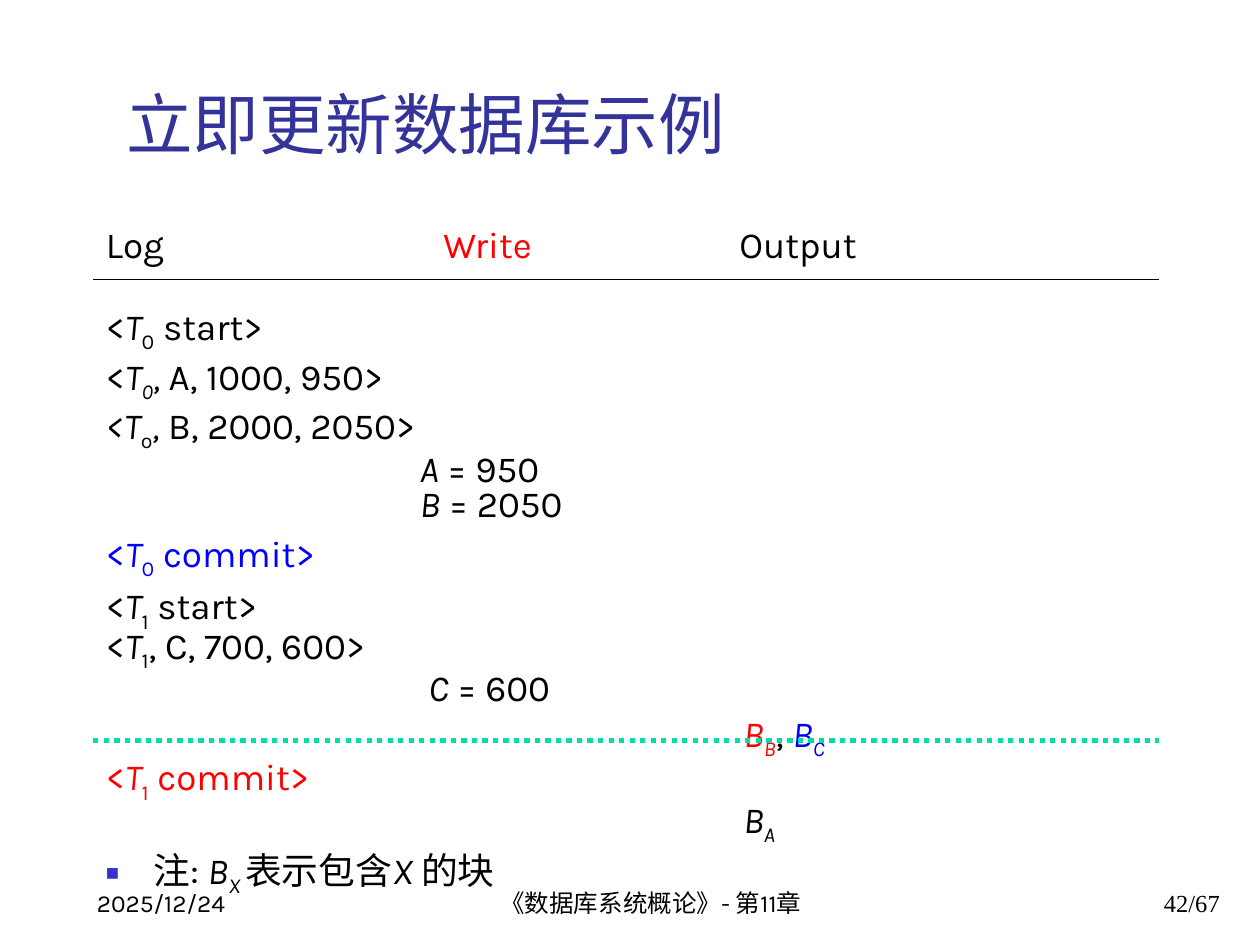
from lxml.etree import SubElement
from pptx import Presentation
from pptx.dml.color import RGBColor
from pptx.enum.dml import MSO_LINE_DASH_STYLE as Dash
from pptx.enum.shapes import MSO_CONNECTOR as Connector
from pptx.enum.text import MSO_ANCHOR as Anchor, MSO_AUTO_SIZE as AutoSize, PP_ALIGN as Align
from pptx.oxml.ns import qn
from pptx.util import Inches, Pt

BLACK = RGBColor(0x00, 0x00, 0x00)
RED = RGBColor(0xFF, 0x00, 0x00)
BLUE = RGBColor(0x00, 0x00, 0xFF)
NAVY = RGBColor(0x33, 0x33, 0x99)
GREEN = RGBColor(0x00, 0xDF, 0xA4)
BULLET = "3333CC"


def add_span(para, text, size, color=BLACK, style="", font="Karla"):
    """Add a run; style may hold i (italic) and s (subscript)."""
    span = para.add_run()
    span.text = text
    formats = {"name": font, "size": Pt(size), "italic": "i" in style}
    for key, value in formats.items():
        setattr(span.font, key, value)
    span.font.color.rgb = color
    if "s" in style:
        span.font._element.set("baseline", "-25000")


def set_frame(box, place, anchor):
    """Place a box and return its first paragraph."""
    box.left, box.top, box.width, box.height = [Inches(n) for n in place]
    formats = {"word_wrap": True, "auto_size": AutoSize.NONE, "vertical_anchor": anchor}
    for key, value in formats.items():
        setattr(box.text_frame, key, value)
    return box.text_frame.paragraphs[0]


deck = Presentation()
deck.slide_width, deck.slide_height = Inches(10), Inches(7.5)
page = deck.slides.add_slide(deck.slide_layouts[1])

# Title
para = set_frame(page.shapes.title, (0.9, 0.67, 8.83, 0.67), Anchor.BOTTOM)
para.alignment = Align.LEFT
add_span(para, "立即更新数据库示例", 38, NAVY)

# Log, write and output entries: line spacing, left margin, spans
LOG, WRITE, OUTPUT = 0, 2.49, 5.06
rows = [
    (1, LOG, [("Log",)]),
    (0.6, LOG, [("<",), ("T", "i"), ("0", "s"), (" start>",)]),
    (1, LOG, [("<",), ("T", "i"), ("0", "is"), (",", "i"), (" A, 1000, 950>",)]),
    (0.7, LOG, [("<T", "i"), ("o", "s"), (",", "i"), (" B, 2000, 2050>",)]),
    (0.8, WRITE, [("A", "i"), (" = 950",)]),
    (0.6, WRITE, [("B", "i"), (" = 2050",)]),
    (1, LOG, [("<", "", BLUE), ("T", "i", BLUE), ("0", "s", BLUE), (" commit>", "", BLUE)]),
    (0.8, LOG, [("<",), ("T", "i"), ("1", "s"), (" start>",)]),
    (0.6, LOG, [("<",), ("T", "i"), ("1", "s"), (", C, 700, 600>",)]),
    (0.8, WRITE + 0.07, [("C", "i"), (" = 600",)]),
    (0.8, OUTPUT, [("B", "i", RED), ("B", "is", RED), (", ",),
                   ("B", "i", BLUE), ("C", "is", BLUE)]),
    (0.7, LOG, [("<", "", RED), ("T", "i", RED), ("1", "s", RED), (" commit>", "", RED)]),
    (0.7, OUTPUT, [("B", "i"), ("A", "is")]),
    (1, 0.38, [("注: ",), ("B", "i"), ("X ", "is"), ("表示包含",), ("X ", "i"), ("的块",)]),
]
body = page.placeholders[1]
para = set_frame(body, (0.74, 1.71, 8.66, 4.87), Anchor.TOP)
for number, (spacing, margin, spans) in enumerate(rows):
    if number:
        para = body.text_frame.add_paragraph()
    props = para._p.get_or_add_pPr()
    props.set("marL", str(Inches(margin)))
    if number == len(rows) - 1:  # closing note is the only bulleted line
        props.set("indent", str(-Inches(margin)))
        color = SubElement(props, qn("a:buClr"))
        SubElement(color, qn("a:srgbClr"), val=BULLET)
        SubElement(props, qn("a:buSzPct"), val="60000")
        SubElement(props, qn("a:buChar"), char="■")
    else:
        props.set("indent", "0")
        SubElement(props, qn("a:buNone"))
    para.line_spacing = spacing
    if number == 0:
        para.space_before = Pt(0)
    elif number == 1:  # gap under the header rule
        para.space_before = Pt(29)
    for text, *look in spans:
        style, color = look + ["", BLACK][len(look):]
        add_span(para, text, 21, color, style)

# Headings of the write and output columns
for left, text, color in [(3.42, "Write", RED), (5.77, "Output", BLACK)]:
    box = page.shapes.add_textbox(0, 0, 0, 0)
    para = set_frame(box, (left, 1.71, 1.5, 0.45), Anchor.TOP)
    add_span(para, text, 21, color)

# Header rule and dotted crash line
for top, color, width, dash in [(2.22, BLACK, 0.75, Dash.SOLID),
                                (5.88, GREEN, 3, Dash.ROUND_DOT)]:
    rule = page.shapes.add_connector(Connector.STRAIGHT, Inches(0.74), Inches(top),
                                     Inches(9.2), Inches(top))
    rule.line.color.rgb = color
    rule.line.width = Pt(width)
    rule.line.dash_style = dash
    SubElement(rule._element.spPr, qn("a:effectLst"))

# Date, footer and page number
for left, width, align, font, text in [
    (0.67, 2.08, Align.LEFT, "Karla", "2025/12/24"),
    (3.58, 3.17, Align.CENTER, "Karla", "《数据库系统概论》- 第11章"),
    (7.7, 2.08, Align.RIGHT, "Times New Roman", "42/67"),
]:
    box = page.shapes.add_textbox(0, 0, 0, 0)
    para = set_frame(box, (left, 6.83, width, 0.5), Anchor.BOTTOM)
    para.alignment = align
    add_span(para, text, 14, font=font)

deck.save("out.pptx")
